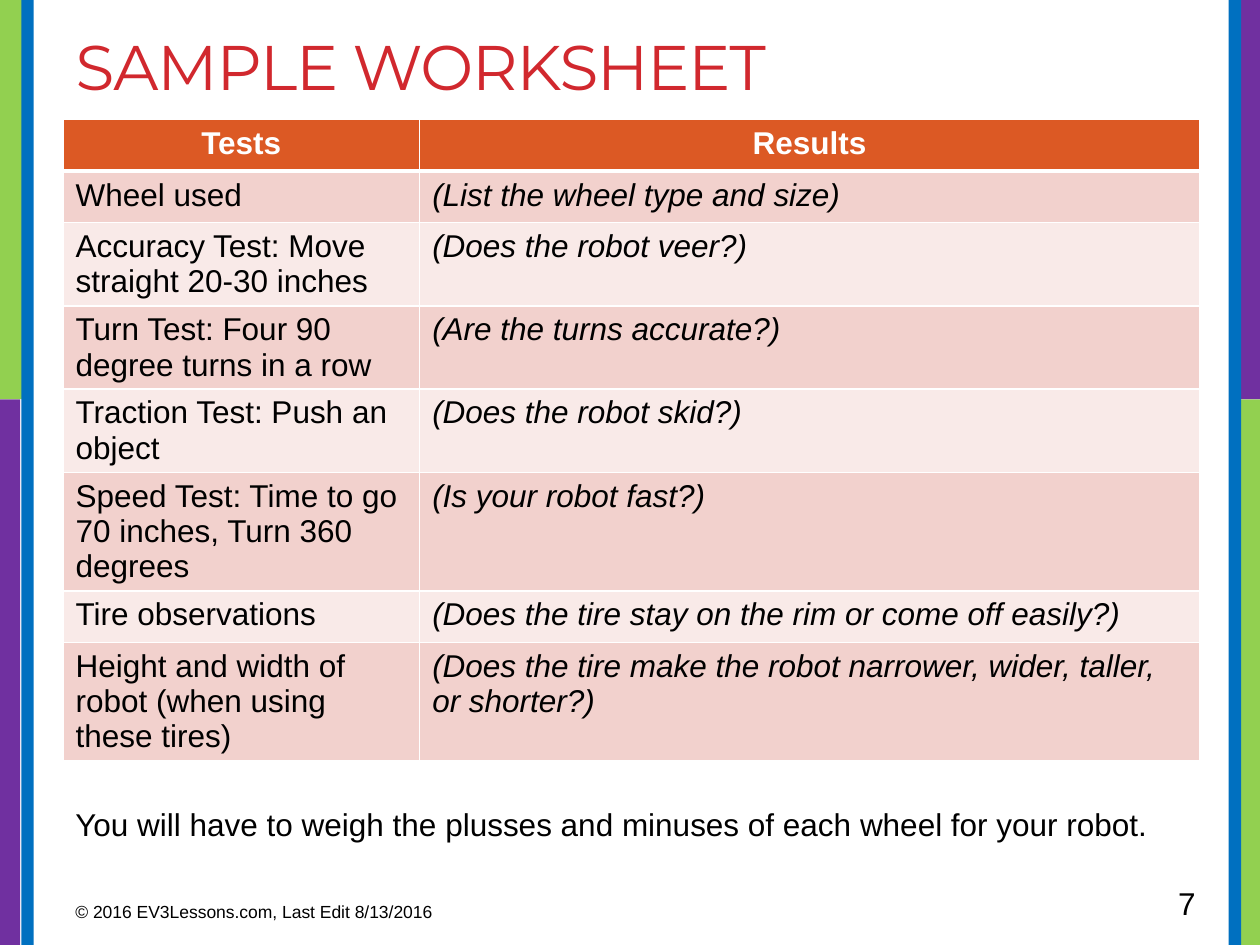
from dataclasses import dataclass

from lxml import etree
from pptx import Presentation
from pptx.dml.color import RGBColor
from pptx.enum.shapes import MSO_SHAPE
from pptx.enum.text import MSO_ANCHOR, MSO_AUTO_SIZE, PP_ALIGN
from pptx.oxml.ns import qn
from pptx.util import Cm, Pt

RECTANGLE = MSO_SHAPE.RECTANGLE
TOP = MSO_ANCHOR.TOP
LEFT, CENTER = PP_ALIGN.LEFT, PP_ALIGN.CENTER
NO_FIT, GROW = MSO_AUTO_SIZE.NONE, MSO_AUTO_SIZE.SHAPE_TO_FIT_TEXT

SLIDE_W, SLIDE_H = 25.4, 19.05
MARGIN, CONTENT_W = 1.27, 22.91
TITLE_ONLY = 5


@dataclass(frozen=True)
class Theme:
    title_font: str = "Montserrat"
    body_font: str = "Arial"
    title_size: float = 36
    body_size: float = 18
    footer_size: float = 10
    title: str = "D1282E"
    text: str = "000000"
    white: str = "FFFFFF"
    header: str = "DC5924"
    bands: tuple = ("F2D1CD", "F9EAE8")
    green: str = "92D050"
    purple: str = "7030A0"
    blue: str = "0070C0"


THEME = Theme()

HEADINGS = ("Tests", "Results")
TESTS = (
    ("Wheel used", "(List the wheel type and size)"),
    ("Accuracy Test: Move straight 20-30 inches", "(Does the robot veer?)"),
    ("Turn Test: Four 90 degree turns in a row", "(Are the turns accurate?)"),
    ("Traction Test: Push an object", "(Does the robot skid?)"),
    ("Speed Test: Time to go 70 inches, Turn 360 degrees", "(Is your robot fast?)"),
    ("Tire observations", "(Does the tire stay on the rim or come off easily?)"),
    ("Height and width of robot (when using these tires)",
     "(Does the tire make the robot narrower, wider, taller, or shorter?)"),
)


def write(frame, text, font=THEME.body_font, size=THEME.body_size, color=THEME.text,
          bold=False, italic=False, align=LEFT, spacing=None):
    """Put one formatted run of text in a text frame."""
    paragraph = frame.paragraphs[0]
    paragraph.alignment = align
    run = paragraph.add_run()
    run.text = text
    run.font.name = font
    run.font.size = Pt(size)
    run.font.color.rgb = RGBColor.from_string(color)
    run.font.bold = bold
    run.font.italic = italic
    if spacing is not None:
        run.font._element.set("spc", str(round(spacing * 100)))


def set_borders(cell, color, **widths):
    """Draw cell borders; widths are points for L, R, T and B."""
    properties = cell._tc.get_or_add_tcPr()
    for side, width in widths.items():
        line = etree.SubElement(properties, qn(f"a:ln{side}"), w=str(Pt(width)))
        fill = etree.SubElement(line, qn("a:solidFill"))
        etree.SubElement(fill, qn("a:srgbClr"), val=color)


class SlideBuilder:
    def __init__(self, slide, theme):
        self.slide = slide
        self.theme = theme

    def stripe(self, left, top, width, height, color):
        stripe = self.slide.shapes.add_shape(
            RECTANGLE, Cm(left), Cm(top), Cm(width), Cm(height))
        stripe.shadow.inherit = False
        stripe.fill.solid()
        stripe.fill.fore_color.rgb = RGBColor.from_string(color)
        stripe.line.fill.background()

    def title(self, text, left, top, width, height):
        title = self.slide.shapes.title
        title.left, title.top = Cm(left), Cm(top)
        title.width, title.height = Cm(width), Cm(height)
        title.text_frame.vertical_anchor = TOP
        title.text_frame.auto_size = NO_FIT
        write(title.text_frame, text, font=self.theme.title_font,
              size=self.theme.title_size, color=self.theme.title, spacing=-0.6)

    def text(self, text, left, top, width, height, fit=NO_FIT, **style):
        box = self.slide.shapes.add_textbox(Cm(left), Cm(top), Cm(width), Cm(height))
        box.text_frame.word_wrap = True
        box.text_frame.auto_size = fit
        write(box.text_frame, text, **style)

    def cell(self, cell, text, fill, top=1, bottom=1, **style):
        set_borders(cell, self.theme.white, L=1, R=1, T=top, B=bottom)
        cell.fill.solid()
        cell.fill.fore_color.rgb = RGBColor.from_string(fill)
        write(cell.text_frame, text, **style)

    def table(self, headings, rows, left, top, column_widths, row_height, height):
        theme = self.theme
        frame = self.slide.shapes.add_table(
            len(rows) + 1, len(headings), Cm(left), Cm(top),
            Cm(sum(column_widths)), Cm(height))
        table = frame.table
        for column, width in zip(table.columns, column_widths):
            column.width = Cm(width)
        # Rows start at one line and grow with their text
        for row in table.rows:
            row.height = Cm(row_height)
        frame.height = Cm(height)

        for c, heading in enumerate(headings):
            self.cell(table.cell(0, c), heading, theme.header, bottom=3,
                      color=theme.white, bold=True, align=CENTER)
        for r, row in enumerate(rows, start=1):
            band = theme.bands[(r - 1) % len(theme.bands)]
            for c, text in enumerate(row):
                self.cell(table.cell(r, c), text, band, top=3 if r == 1 else 1,
                          italic=c == 1)


def main():
    presentation = Presentation()
    presentation.slide_width, presentation.slide_height = Cm(SLIDE_W), Cm(SLIDE_H)
    slide = presentation.slides.add_slide(presentation.slide_layouts[TITLE_ONLY])
    page = SlideBuilder(slide, THEME)

    # Coloured side stripes: the two sides swap green and purple
    split, wide, narrow, blue_w = 8.05, 0.51, 0.41, 0.25
    page.stripe(SLIDE_W - narrow, split, narrow, SLIDE_H - split, THEME.green)
    page.stripe(SLIDE_W - wide, 0, wide, split, THEME.purple)
    page.stripe(24.77, 0, blue_w, SLIDE_H, THEME.blue)
    page.stripe(0, split, narrow, SLIDE_H - split, THEME.purple)
    page.stripe(0, 0, wide, split, THEME.green)
    page.stripe(0.43, 0, blue_w, SLIDE_H, THEME.blue)

    # Title and worksheet
    page.title("SAMPLE WORKSHEET", MARGIN, 0.43, CONTENT_W, 3.81)
    page.table(HEADINGS, TESTS, MARGIN, 2.41, column_widths=(7.19, 15.72),
               row_height=1.04, height=13.51)

    # Footer, page number and closing note
    page.text("© 2016 EV3Lessons.com, Last Edit 8/13/2016", MARGIN, 18.03, 9.53, 0.79,
              size=THEME.footer_size)
    page.text("7", 23.5, 17.7, 1.75, 1.02)
    page.text("You will have to weigh the plusses and minuses of each wheel for your robot.",
              MARGIN, 16.1, CONTENT_W, 1.02, fit=GROW)

    presentation.save("out.pptx")


if __name__ == "__main__":
    main()
